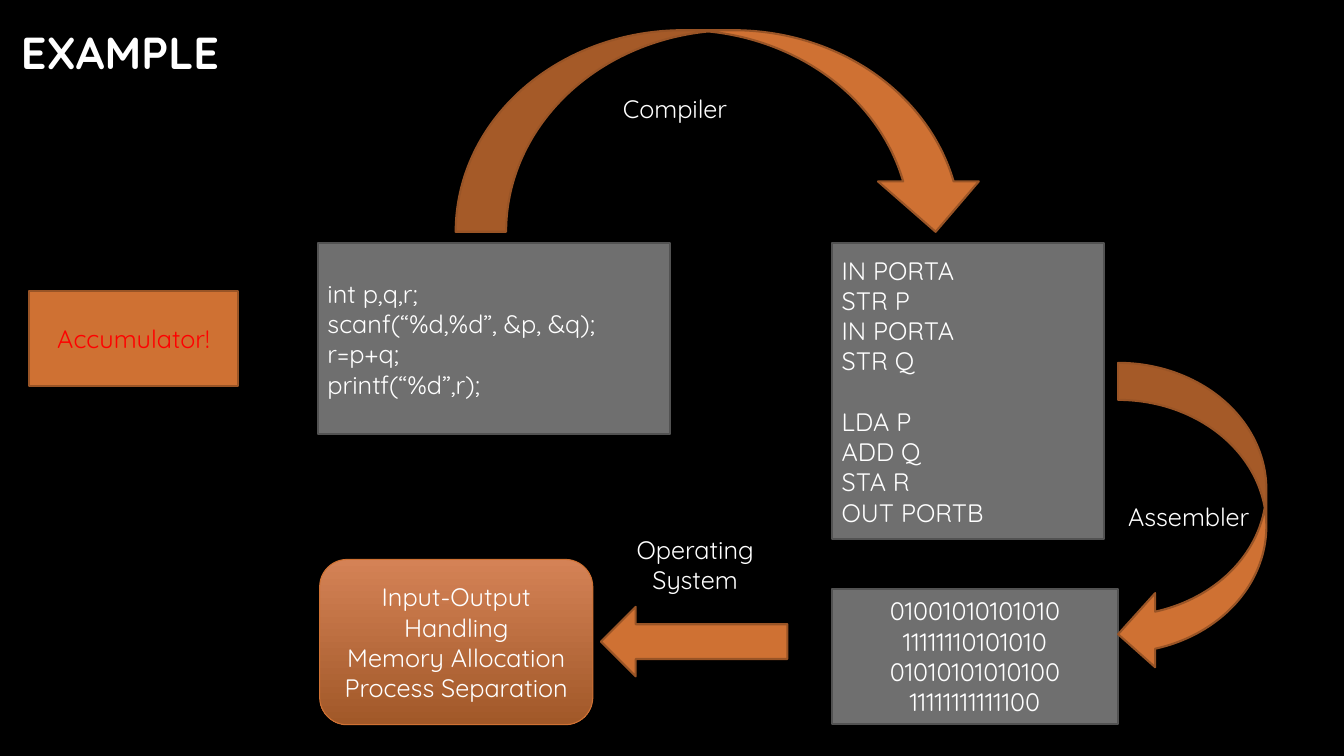
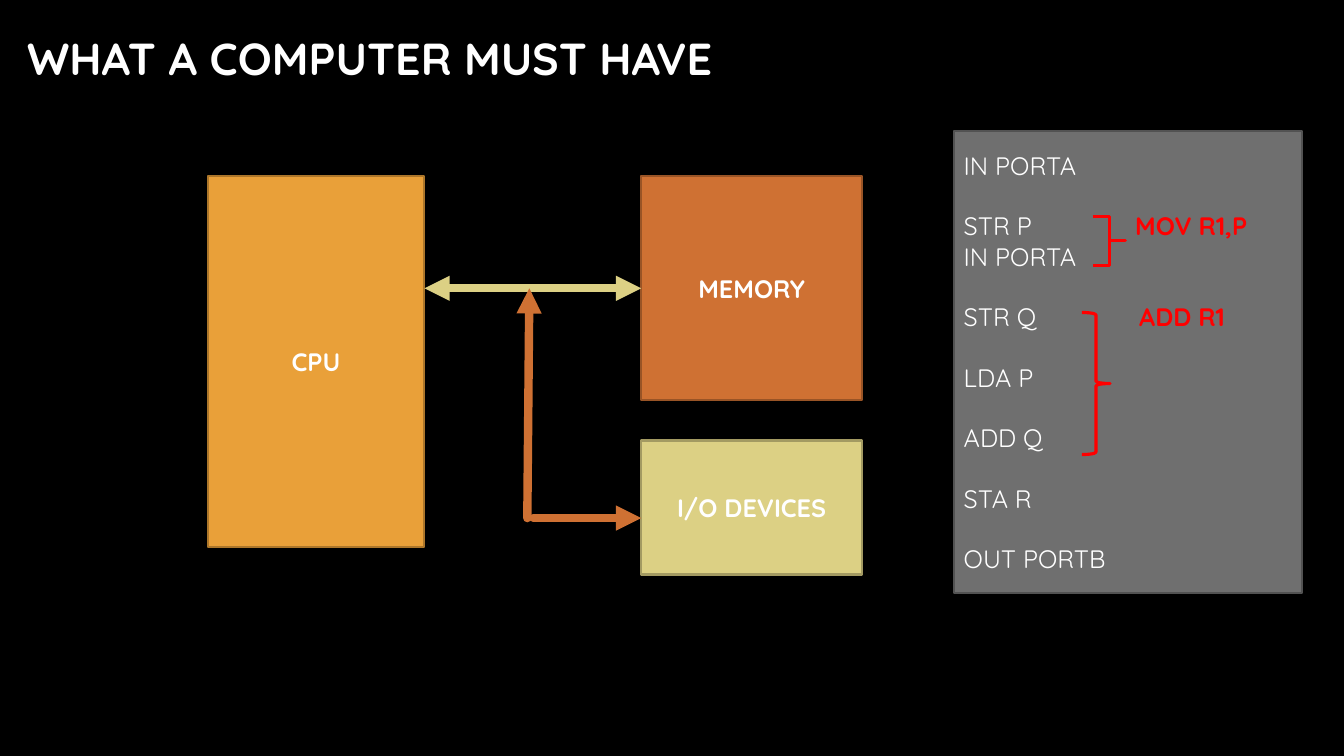
"""Build two slides on program translation and the parts of a computer."""
import pptx
import pptx.util
import pptx.dml.color
import pptx.enum.shapes
import pptx.enum.text
import pptx.oxml
import pptx.oxml.ns

RGB = pptx.dml.color.RGBColor
SHAPE = pptx.enum.shapes.MSO_SHAPE
ALIGN = pptx.enum.text.PP_ALIGN
ANCHOR = pptx.enum.text.MSO_ANCHOR
Inches, Pt = pptx.util.Inches, pptx.util.Pt

FONT = "Quicksand"
BLACK, WHITE, RED = RGB(0, 0, 0), RGB(255, 255, 255), RGB(255, 0, 0)
ORANGE, RUST = RGB(0xCF, 0x71, 0x33), RGB(0x99, 0x54, 0x26)
PEACH, BROWN = RGB(0xD4, 0x82, 0x56), RGB(0xA1, 0x58, 0x28)
GRAY, DARK_GRAY = RGB(0x6F, 0x6F, 0x6F), RGB(0x52, 0x52, 0x52)
AMBER, DARK_AMBER = RGB(0xE9, 0xA0, 0x39), RGB(0xAC, 0x76, 0x2A)
SAND, DARK_SAND = RGB(0xDC, 0xD0, 0x84), RGB(0xA3, 0x9A, 0x62)

GRAYS, ORANGES = (GRAY, DARK_GRAY), (ORANGE, RUST)
LINE_GAP = 21.6

C_CODE = ["int p,q,r;", "scanf(“%d,%d”, &p, &q);", "r=p+q;", "printf(“%d”,r);"]
ASSEMBLY = ["IN PORTA", "STR P", "IN PORTA", "STR Q", "LDA P", "ADD Q", "STA R", "OUT PORTB"]
MACHINE_CODE = ["01001010101010", "11111110101010", "01010101010100", "11111111111100"]
OS_TASKS = ["Input-Output Handling", "Memory Allocation", "Process Separation"]

CODE_BOXES = [
    ((3.15, 2.41, 3.5, 1.9), GRAYS, C_CODE, {"align": ALIGN.LEFT}),
    ((8.25, 2.41, 2.7, 2.94), GRAYS, ASSEMBLY, {"align": ALIGN.LEFT, "gaps": {4}}),
    ((8.25, 5.84, 2.84, 1.34), GRAYS, MACHINE_CODE, {}),
    ((0.29, 2.89, 2.07, 0.94), ORANGES, ["Accumulator!"], {"color": RED}),
]
ARROWS = [
    (SHAPE.CURVED_DOWN_ARROW, (4.52, 0.3, 5.26, 2)),
    (SHAPE.CURVED_LEFT_ARROW, (11.09, 3.6, 1.47, 3.06)),
    (SHAPE.LEFT_ARROW, (5.96, 6.02, 1.85, 0.69)),
]
ARROW_LABELS = [
    ("Compiler", (6.08, 0.88, 2, 0.4), ALIGN.LEFT),
    ("Assembler", (11.09, 4.92, 1.54, 0.4), ALIGN.LEFT),
    ("Operating System", (6.08, 5.25, 1.63, 0.71), ALIGN.CENTER),
]
COMPUTER_PARTS = {
    "CPU": ((2.06, 1.75, 2.15, 3.68), (AMBER, DARK_AMBER)),
    "MEMORY": ((6.36, 1.75, 2.19, 2.22), ORANGES),
    "I/O DEVICES": ((6.36, 4.37, 2.19, 1.33), (SAND, DARK_SAND)),
}
REGISTER_NOTES = {1: ("MOV R1,P", 1.7), 3: ("ADD R1", 1.74)}
BRACES = [((10.73, 3.1, 0.28, 1.41), None), ((10.84, 2.15, 0.32, 0.48), 0)]


def inches(values):
    return [Inches(v) for v in values]


def add_run(p, text, size, color, bold):
    r = p.add_run()
    r.text = text
    r.font.name, r.font.size = FONT, Pt(size)
    r.font.color.rgb, r.font.bold = color, bold


def write(sp, lines, size=18, color=WHITE, bold=False, align=ALIGN.CENTER,
          anchor=ANCHOR.MIDDLE, gaps=(), notes=None):
    tf = sp.text_frame
    tf.word_wrap, tf.vertical_anchor = True, anchor
    for i, line in enumerate(lines):
        p = tf.add_paragraph() if i else tf.paragraphs[0]
        p.alignment = align
        if i in gaps:
            p.space_before = Pt(LINE_GAP)
        add_run(p, line, size, color, bold)
        if notes and i in notes:
            note, stop = notes[i]
            add_run(p, "\t" + note, size, RED, True)
            tabs = pptx.oxml.parse_xml(
                f'<a:tabLst {pptx.oxml.ns.nsdecls("a")}>'
                f'<a:tab pos="{Inches(stop)}" algn="l"/></a:tabLst>')
            p._p.get_or_add_pPr().append(tabs)


def add_text(s, box, lines, **style):
    write(s.shapes.add_textbox(*inches(box)), lines, **style)


def add_block(s, kind, box, colors, lines=(), width=1.5, **style):
    fill, line = colors
    sp = s.shapes.add_shape(kind, *inches(box))
    sp.shadow.inherit = False
    if fill is None:
        sp.fill.background()
    else:
        sp.fill.solid()
        sp.fill.fore_color.rgb = fill
    sp.line.color.rgb, sp.line.width = line, Pt(width)
    if lines:
        write(sp, lines, **style)
    return sp


def add_arrow(s, start, end, color, both=False):
    cx = s.shapes.add_connector(pptx.enum.shapes.MSO_CONNECTOR.STRAIGHT,
                                *inches(start + end))
    cx.line.color.rgb, cx.line.width = color, Pt(6)
    ln = cx.line._get_or_add_ln()
    ln.set("cap", "rnd")
    for tag in (["headEnd"] if both else []) + ["tailEnd"]:
        ln.append(pptx.oxml.parse_xml(
            f'<a:{tag} {pptx.oxml.ns.nsdecls("a")} type="triangle"/>'))
    cx._element.spPr.append(pptx.oxml.parse_xml(
        f'<a:effectLst {pptx.oxml.ns.nsdecls("a")}/>'))
    return cx


def new_slide(prs, title, box):
    s = prs.slides.add_slide(prs.slide_layouts[6])
    s.background.fill.solid()
    s.background.fill.fore_color.rgb = BLACK
    add_text(s, box, [title], size=32, bold=True, align=ALIGN.LEFT)
    return s


def build_example(prs):
    s = new_slide(prs, "EXAMPLE", (0.11, 0.15, 10.83, 0.73))
    for box, colors, lines, style in CODE_BOXES:
        add_block(s, SHAPE.RECTANGLE, box, colors, lines, **style)
    for kind, box in ARROWS:
        add_block(s, kind, box, ORANGES)
    tasks = add_block(s, SHAPE.ROUNDED_RECTANGLE, (3.17, 5.55, 2.71, 1.64),
                      (ORANGE, ORANGE), OS_TASKS, width=0.75)
    tasks.fill.gradient()
    tasks.fill.gradient_angle = 270
    for stop, color, position in zip(tasks.fill.gradient_stops, (PEACH, BROWN), (0, 1)):
        stop.color.rgb, stop.position = color, position
    for label, box, align in ARROW_LABELS:
        add_text(s, box, [label], align=align, anchor=ANCHOR.TOP)


def build_computer(prs):
    s = new_slide(prs, "WHAT A COMPUTER MUST HAVE", (0.17, 0.18, 10.83, 0.78))
    parts = {name: add_block(s, SHAPE.RECTANGLE, box, colors, [name], bold=True)
             for name, (box, colors) in COMPUTER_PARTS.items()}
    bus_y, io_y = 2.86, 5.14
    bus = add_arrow(s, (4.21, bus_y), (6.36, bus_y), SAND, both=True)
    bus.end_connect(parts["MEMORY"], 1)
    add_arrow(s, (5.23, io_y), (5.25, bus_y), ORANGE)
    add_arrow(s, (5.29, io_y), (6.36, io_y), ORANGE)
    add_block(s, SHAPE.RECTANGLE, (9.46, 1.3, 3.45, 4.58), GRAYS, ASSEMBLY,
              align=ALIGN.LEFT, gaps={1, 3, 4, 5, 6, 7}, notes=REGISTER_NOTES)
    for box, curve in BRACES:
        brace = add_block(s, SHAPE.RIGHT_BRACE, box, (None, RED), width=2.25)
        if curve is not None:
            brace.adjustments[0] = curve


def main():
    prs = pptx.Presentation()
    prs.slide_width, prs.slide_height = Inches(13.33), Inches(7.5)
    build_example(prs)
    build_computer(prs)
    prs.save("out.pptx")


if __name__ == "__main__":
    main()
